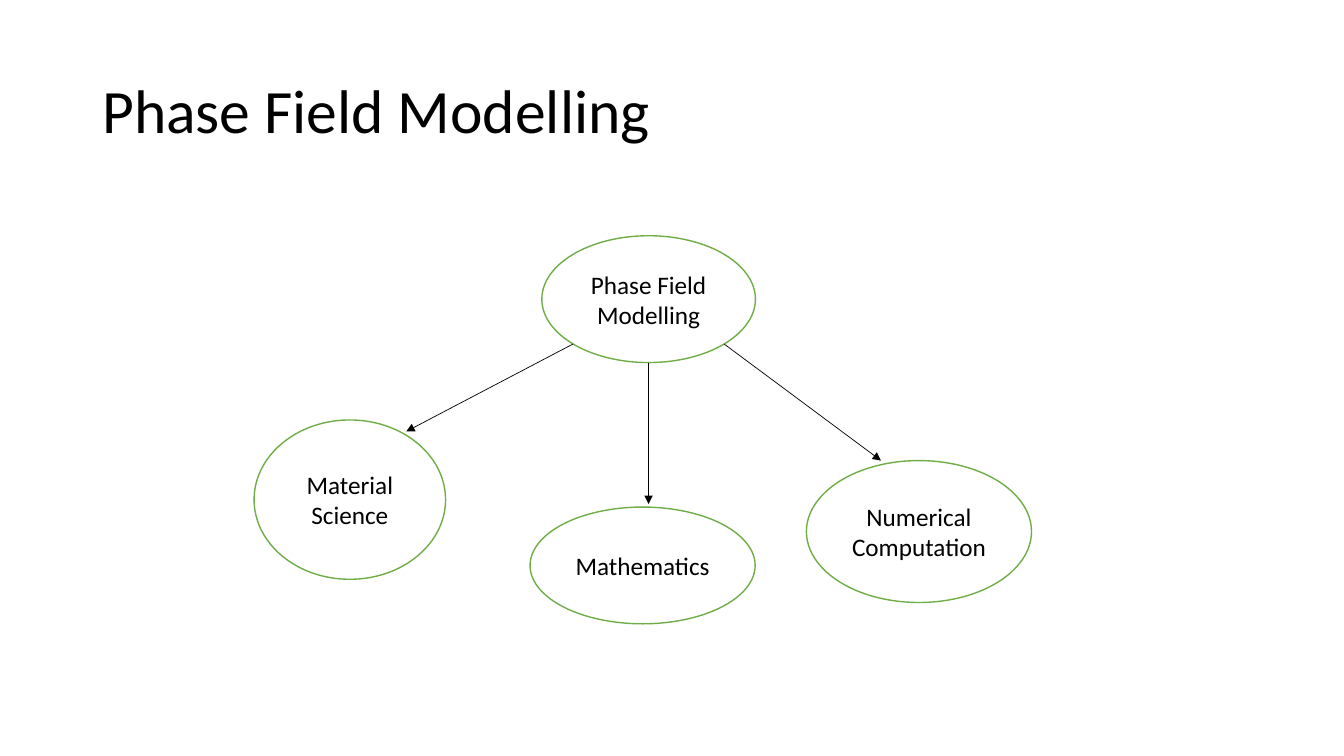
from math import cos, radians, sin

from lxml import etree
from pptx import Presentation
from pptx.dml.color import RGBColor
from pptx.enum.shapes import MSO_CONNECTOR, MSO_SHAPE
from pptx.enum.text import MSO_ANCHOR, PP_ALIGN
from pptx.oxml.ns import qn
from pptx.util import Pt

ELLIPSE, STRAIGHT = MSO_SHAPE.OVAL, MSO_CONNECTOR.STRAIGHT
MIDDLE, LEFT, CENTER = MSO_ANCHOR.MIDDLE, PP_ALIGN.LEFT, PP_ALIGN.CENTER

# Boxes are left, top, width, height in points.
TITLE = ("Phase Field Modelling", (66, 28.8, 828, 104.4))
TOPIC = ("Phase Field Modelling", (387, 168.4, 152.6, 90.6))
FIELDS = [
    # label, box, angle where the arrow leaves the topic, arrow tip
    ("Material Science", (181.5, 300, 136.8, 113.8), 135, (290.2, 308.2)),
    ("Mathematics", (378.6, 362.2, 160.8, 83.4), 90, (463.3, 360)),
    ("Numerical Computation", (576, 329, 160.8, 101.4), 45, (629.3, 329)),
]
THEME = {
    "text": RGBColor(0, 0, 0),
    "fill": RGBColor(0xFF, 0xFF, 0xFF),
    "outline": RGBColor(0x70, 0xAD, 0x47),
    "arrow": RGBColor(0, 0, 0),
    "font": "Calibri",
    "title_size": Pt(44),
    "label_size": Pt(18),
    "outline_width": Pt(1),
    "arrow_width": Pt(0.5),
}


def points(values):
    return [Pt(value) for value in values]


def write(shape, text, size, align, line_spacing=1.0):
    frame = shape.text_frame
    frame.word_wrap = True
    frame.vertical_anchor = MIDDLE
    paragraph = frame.paragraphs[0]
    paragraph.text = text
    paragraph.alignment = align
    paragraph.line_spacing = line_spacing
    font = paragraph.runs[0].font
    for attribute, value in {"name": THEME["font"], "size": size}.items():
        setattr(font, attribute, value)
    font.color.rgb = THEME["text"]


def add_bubble(slide, label, box):
    bubble = slide.shapes.add_shape(ELLIPSE, *points(box))
    bubble.shadow.inherit = False
    bubble.fill.solid()
    bubble.fill.fore_color.rgb = THEME["fill"]
    bubble.line.color.rgb = THEME["outline"]
    bubble.line.width = THEME["outline_width"]
    write(bubble, label, THEME["label_size"], CENTER)


def rim_point(box, angle):
    """Point on the ellipse inside box, angle clockwise from the right."""
    left, top, width, height = box
    turn = radians(angle)
    return (left + width / 2 * (1 + cos(turn)),
            top + height / 2 * (1 + sin(turn)))


def add_arrow(slide, start, tip):
    arrow = slide.shapes.add_connector(STRAIGHT, *points(start + tip))
    arrow.line.color.rgb = THEME["arrow"]
    arrow.line.width = THEME["arrow_width"]
    etree.SubElement(arrow.line._get_or_add_ln(), qn("a:tailEnd"), type="triangle")
    etree.SubElement(arrow._element.spPr, qn("a:effectLst"))


def main():
    deck = Presentation()
    deck.slide_width, deck.slide_height = Pt(960), Pt(540)
    slide = deck.slides.add_slide(deck.slide_layouts[6])

    heading, heading_box = TITLE
    title = slide.shapes.add_textbox(*points(heading_box))
    write(title, heading, THEME["title_size"], LEFT, 0.9)

    add_bubble(slide, *TOPIC)
    for label, box, angle, tip in FIELDS:
        add_arrow(slide, rim_point(TOPIC[1], angle), tip)
        add_bubble(slide, label, box)

    deck.save("out.pptx")


if __name__ == "__main__":
    main()
